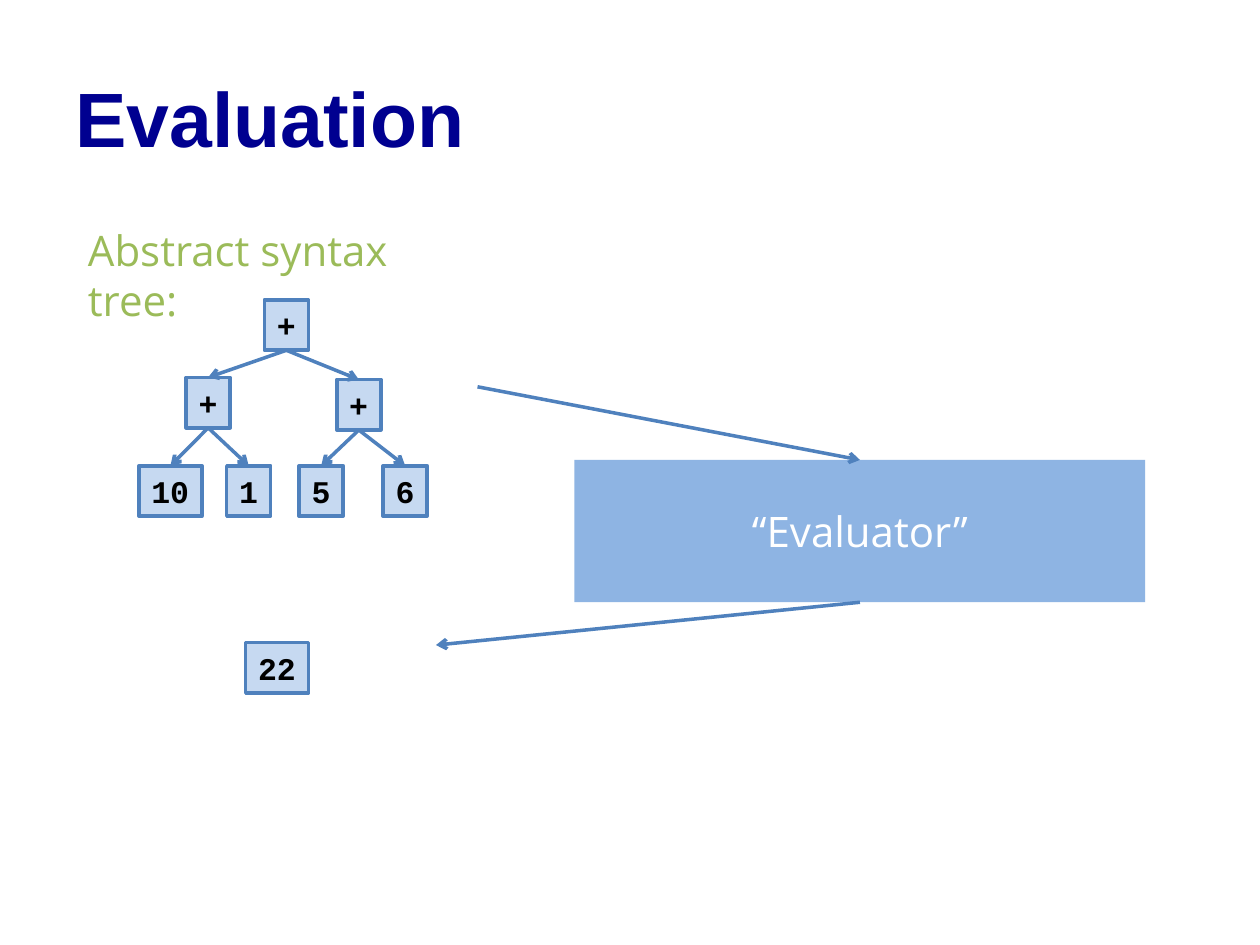
from collections import namedtuple

from lxml import etree
from pptx import Presentation
from pptx.dml.color import RGBColor
from pptx.enum.shapes import MSO_CONNECTOR, MSO_SHAPE
from pptx.enum.text import MSO_ANCHOR, PP_ALIGN
from pptx.oxml.ns import qn
from pptx.util import Inches, Pt

NAVY = RGBColor(0x00, 0x00, 0x90)
GREEN = RGBColor(0x9B, 0xBB, 0x59)
BLUE = RGBColor(0x4F, 0x81, 0xBD)
SKY = RGBColor(0x8E, 0xB4, 0xE3)
PALE = RGBColor(0xC6, 0xD9, 0xF1)
WHITE = RGBColor(0xFF, 0xFF, 0xFF)
BLACK = RGBColor(0x00, 0x00, 0x00)

RECTANGLE = MSO_SHAPE.RECTANGLE
STRAIGHT = MSO_CONNECTOR.STRAIGHT
TOP, MIDDLE = MSO_ANCHOR.TOP, MSO_ANCHOR.MIDDLE
LEFT, CENTER = PP_ALIGN.LEFT, PP_ALIGN.CENTER

COLUMNS, ROWS = 100, 75
SLIDE_WIDTH, SLIDE_HEIGHT = Inches(10), Inches(7.5)
NODE_HEIGHT = 4

Box = namedtuple("Box", "left top width height")
Node = namedtuple("Node", "text x y parent")

SYNTAX_TREE = [
    Node("+", 0.51, 0, None),
    Node("+", 0.24, 0.36, 0),
    Node("+", 0.76, 0.37, 0),
    Node("10", 0.11, 0.77, 1),
    Node("1", 0.38, 0.77, 1),
    Node("5", 0.63, 0.77, 2),
    Node("6", 0.92, 0.77, 2),
]


def to_slide(x, y):
    """Convert grid columns and rows to slide lengths."""
    return int(x * SLIDE_WIDTH / COLUMNS), int(y * SLIDE_HEIGHT / ROWS)


def place(box):
    """Return the slide position and size of a grid box."""
    return to_slide(box.left, box.top) + to_slide(box.width, box.height)


def write(shape, text, font, size, color, bold=False, align=LEFT, anchor=TOP, wrap=True):
    """Fill a shape with one formatted paragraph."""
    frame = shape.text_frame
    frame.text = text
    frame.word_wrap = wrap
    frame.vertical_anchor = anchor
    paragraph = frame.paragraphs[0]
    paragraph.alignment = align
    run_font = paragraph.runs[0].font
    run_font.name, run_font.size, run_font.bold = font, Pt(size), bold
    run_font.color.rgb = color


def add_text(slide, box, text, **style):
    """Add a text box."""
    write(slide.shapes.add_textbox(*place(box)), text, **style)


def add_rectangle(slide, box, fill):
    """Add a flat rectangle without an outline."""
    rectangle = slide.shapes.add_shape(RECTANGLE, *place(box))
    rectangle.shadow.inherit = False
    rectangle.fill.solid()
    rectangle.fill.fore_color.rgb = fill
    rectangle.line.fill.background()
    return rectangle


def add_arrow(slide, start, end):
    """Add an arrow between two grid points."""
    arrow = slide.shapes.add_connector(STRAIGHT, *to_slide(*start), *to_slide(*end))
    arrow.line.color.rgb = BLUE
    arrow.line.width = Pt(2)
    etree.SubElement(arrow.line._get_or_add_ln(), qn("a:tailEnd"), type="arrow")
    etree.SubElement(arrow._element.spPr, qn("a:effectLst"))


def add_node(slide, center, top, text):
    """Add a value box as wide as its text needs."""
    width = 2 + 1.5 * len(text)
    node = add_rectangle(slide, Box(center - width / 2, top, width, NODE_HEIGHT), PALE)
    node.line.color.rgb = BLUE
    node.line.width = Pt(2)
    write(node, text, "Courier New", 18, BLACK, bold=True, wrap=False)


def add_tree(slide, box, nodes):
    """Draw a tree inside a box, with an arrow from each parent to its children."""
    tops = [(box.left + n.x * box.width, box.top + n.y * box.height) for n in nodes]
    for node, (center, top) in zip(nodes, tops):
        add_node(slide, center, top, node.text)
    for node, child_top in zip(nodes, tops):
        if node.parent is not None:
            center, top = tops[node.parent]
            add_arrow(slide, (center, top + NODE_HEIGHT), child_top)


def add_evaluator(slide, box):
    """Draw the evaluator with its incoming and outgoing arrows."""
    evaluator = add_rectangle(slide, box, SKY)
    write(evaluator, "“Evaluator”", "Open Sans", 24, WHITE, align=CENTER, anchor=MIDDLE)
    center, bottom = box.left + box.width / 2, box.top + box.height
    add_arrow(slide, (box.left - 7.7, box.top - 5.8), (center, box.top))
    add_arrow(slide, (center, bottom), (box.left - 11, bottom + 3.4))


def build():
    """Build the evaluation slide."""
    deck = Presentation()
    deck.slide_width, deck.slide_height = SLIDE_WIDTH, SLIDE_HEIGHT
    slide = deck.slides.add_slide(deck.slide_layouts[6])
    add_text(slide, Box(5, 3, 90, 12.5), "Evaluation",
             font="Arial", size=44, color=NAVY, bold=True, anchor=MIDDLE)
    add_evaluator(slide, Box(45.6, 36.5, 45.3, 11.3))
    add_tree(slide, Box(11, 23.8, 23, 17.1), SYNTAX_TREE)
    add_text(slide, Box(6, 17.3, 28.7, 5), "Abstract syntax tree:",
             font="Open Sans", size=24, color=GREEN)
    add_node(slide, 22, 51, "22")
    deck.save("out.pptx")


build()
